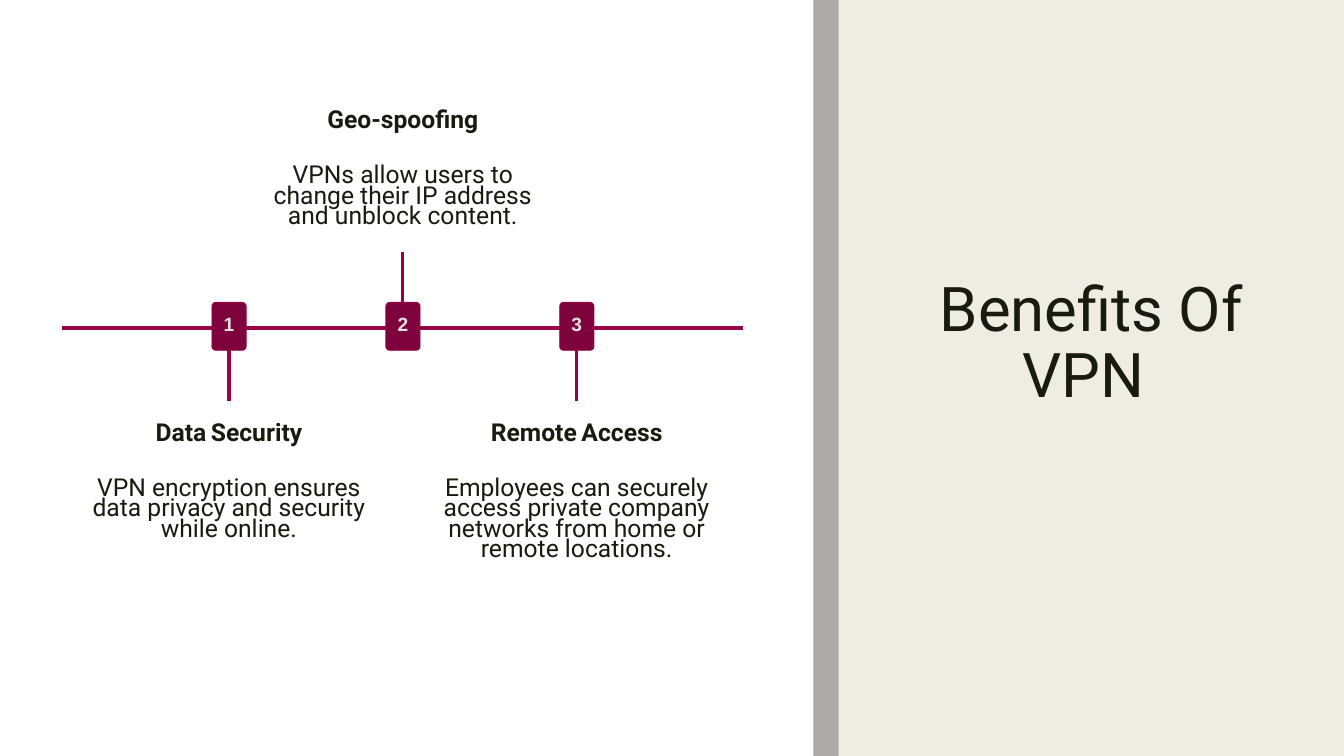
from lxml import etree
from pptx import Presentation
from pptx.dml.color import RGBColor
from pptx.enum import shapes, text
from pptx.oxml import ns
from pptx.util import Pt

COLORS = {
    "sand": "EFEDE3", "white": "FFFFFF", "gray": "808080", "ink": "191B0E",
    "line": "970248", "badge": "7E023C", "number": "E5E0DF",
}
TITLE = {"name": "Roboto", "size": Pt(44), "color": "ink"}
BODY = {"name": "Roboto", "size": Pt(17.6), "color": "ink"}
HEADING = BODY | {"bold": True}
HEADING_SPACE = {"name": "Arial", "size": Pt(11.4), "color": "number"}
NUMBER = {"name": "Arial", "size": Pt(13.7), "color": "number", "bold": True}

deck = Presentation()
deck.slide_width, deck.slide_height = Pt(960), Pt(540)
page = deck.slides.add_slide(deck.slide_layouts[6])


def write(box, spans, spacing, anchor=text.MSO_ANCHOR.TOP):
    """Fill a box with one centred paragraph of (words, format) spans."""
    frame = box.text_frame
    frame.word_wrap = True
    frame.vertical_anchor = anchor
    para = frame.paragraphs[0]
    para.alignment = text.PP_ALIGN.CENTER
    para.line_spacing = spacing
    for words, look in spans:
        span = para.add_run()
        span.text = words
        for key, value in look.items():
            if key == "color":
                span.font.color.rgb = RGBColor.from_string(COLORS[value])
            else:
                setattr(span.font, key, value)


def add_line(x1, y1, x2, y2, width):
    line = page.shapes.add_connector(
        shapes.MSO_CONNECTOR.STRAIGHT, Pt(x1), Pt(y1), Pt(x2), Pt(y2))
    line.line.color.rgb = RGBColor.from_string(COLORS["line"])
    line.line.width = Pt(width)
    etree.SubElement(line._element.spPr, ns.qn("a:effectLst"))
    return line


# Background panels, with a translucent stripe between them
for left, width, color in [(0, 960, "sand"), (0, 581, "white"), (581, 18, "gray")]:
    panel = page.shapes.add_shape(
        shapes.MSO_SHAPE.RECTANGLE, Pt(left), 0, Pt(width), Pt(540))
    panel.shadow.inherit = False
    panel.fill.solid()
    panel.fill.fore_color.rgb = RGBColor.from_string(COLORS[color])
    panel.line.fill.background()
stripe_color = panel._element.spPr.find(ns.qn("a:solidFill"))[0]
etree.SubElement(stripe_color, ns.qn("a:alpha"), val="60000")

title = page.shapes.add_textbox(Pt(649.5), Pt(26.5), Pt(260), Pt(439))
write(title, [("Benefits Of VPN ", TITLE)], 0.89, text.MSO_ANCHOR.MIDDLE)

# Timeline: steps alternate below and above the axis
add_line(44.6, 234.6, 530.6, 234.6, 2.9)
steps = [
    ("Data Security",
     "VPN encryption ensures data privacy and security while online."),
    ("Geo-spoofing",
     "VPNs allow users to change their IP address and unblock content."),
    ("Remote Access",
     "Employees can securely access private company networks from home "
     "or remote locations."),
]
for index, (heading, body) in enumerate(steps):
    center = 163.6 + 124.2 * index
    above = index % 2 == 1
    stem_end, heading_top = (180, 77.6) if above else (286.4, 301)

    badge = page.shapes.add_shape(
        shapes.MSO_SHAPE.ROUNDED_RECTANGLE,
        Pt(center - 12.2), Pt(216), Pt(24.4), Pt(34.2))
    badge.adjustments[0] = 0.11
    badge.shadow.inherit = False
    badge.fill.solid()
    badge.fill.fore_color.rgb = RGBColor.from_string(COLORS["badge"])
    badge.line.color.rgb = RGBColor.from_string(COLORS["line"])
    badge.line.width = Pt(0.6)
    insets = {"margin_left": 0, "margin_right": 0, "margin_top": 0, "margin_bottom": Pt(4)}
    for side, inset in insets.items():
        setattr(badge.text_frame, side, inset)
    write(badge, [(str(index + 1), NUMBER)], Pt(17.1), text.MSO_ANCHOR.MIDDLE)

    stem = add_line(center, 234.6, center, stem_end, 2.2)
    stem.begin_connect(badge, 0 if above else 2)

    heading_box = page.shapes.add_textbox(
        Pt(center - 108), Pt(heading_top), Pt(216), Pt(24))
    first, space, second = heading.partition(" ")
    parts = [(first, HEADING), (space, HEADING_SPACE), (second, HEADING)]
    write(heading_box, [part for part in parts if part[0]], Pt(14.2))

    body_box = page.shapes.add_textbox(
        Pt(center - 108), Pt(heading_top + 39), Pt(216), Pt(72))
    write(body_box, [(body, BODY)], Pt(14.6))

deck.save("out.pptx")
